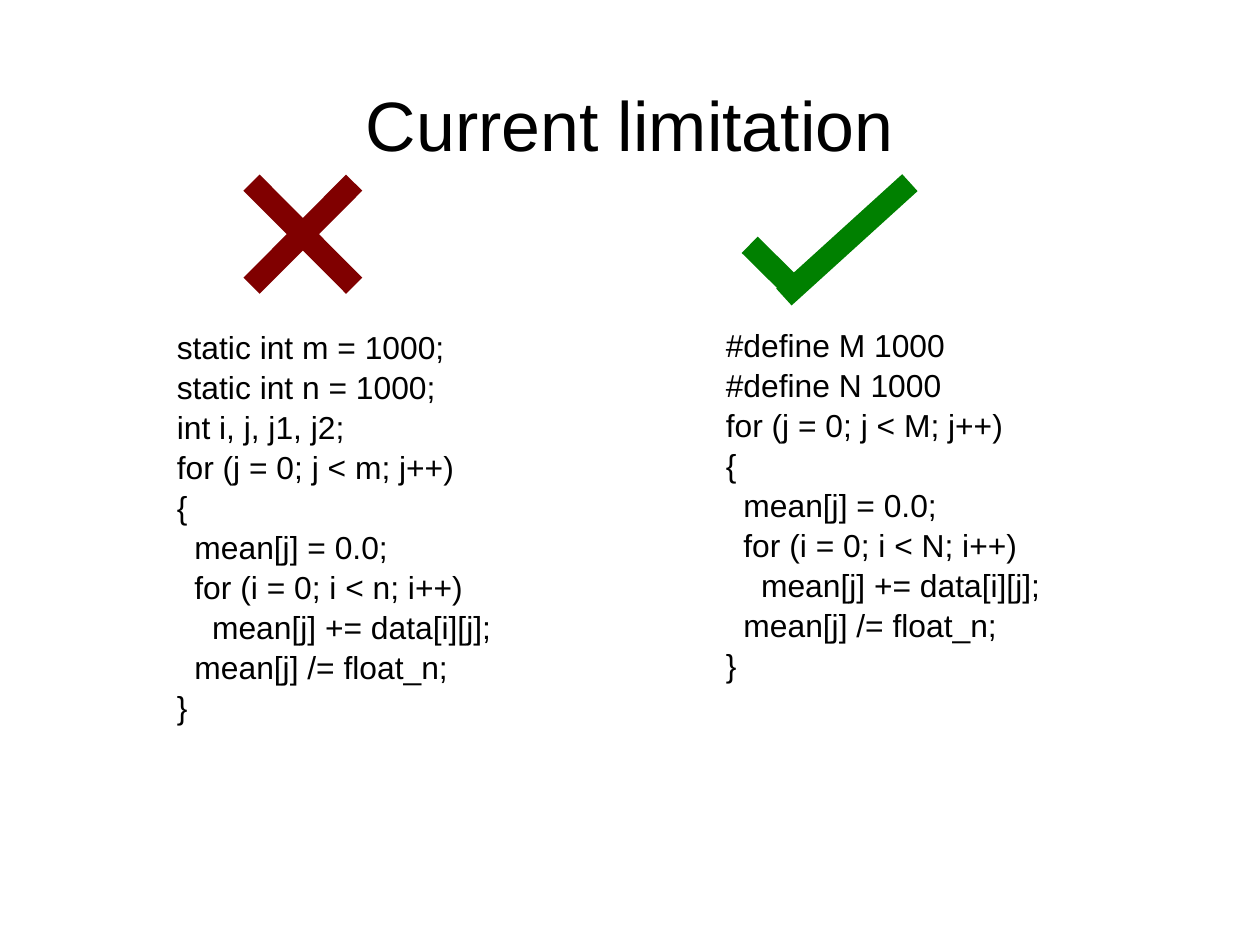
from dataclasses import dataclass
from lxml.etree import SubElement
from pptx import Presentation
from pptx.dml.color import RGBColor
from pptx.enum.text import MSO_ANCHOR, PP_ALIGN
from pptx.oxml.ns import qn
from pptx.util import Cm, Pt


@dataclass(frozen=True)
class Theme:
    font: str = "Arial"
    ink: RGBColor = RGBColor(0, 0, 0)
    bad: RGBColor = RGBColor(0x80, 0, 0)
    good: RGBColor = RGBColor(0, 0x80, 0)
    head: Pt = Pt(44)
    code: Pt = Pt(20)
    line: Pt = Pt(14.4)
    lead: float = 1.05


THEME = Theme()

LEFT = """static int m = 1000;
static int n = 1000;
int i, j, j1, j2;
for (j = 0; j < m; j++)
{
  mean[j] = 0.0;
  for (i = 0; i < n; i++)
    mean[j] += data[i][j];
  mean[j] /= float_n;
}"""

RIGHT = """#define M 1000
#define N 1000
for (j = 0; j < M; j++)
{
  mean[j] = 0.0;
  for (i = 0; i < N; i++)
    mean[j] += data[i][j];
  mean[j] /= float_n;
}"""


def add_text(slide, text, box, size):
    frame = slide.shapes.add_textbox(*map(Cm, box)).text_frame
    frame.word_wrap = True
    frame.text = text
    for para in frame.paragraphs:
        para.line_spacing = THEME.lead
        for run in para.runs:
            run.font.name = THEME.font
            run.font.size = size
            run.font.color.rgb = THEME.ink
    return frame


def add_title(slide, text, box):
    frame = add_text(slide, text, box, THEME.head)
    frame.vertical_anchor = MSO_ANCHOR.MIDDLE
    frame.paragraphs[0].alignment = PP_ALIGN.CENTER


def add_mark(slide, strokes, color):
    for stroke in strokes:
        line = slide.shapes.add_connector(1, *map(Cm, stroke))
        line.line.color.rgb = color
        line.line.width = THEME.line
        SubElement(line._element.spPr, qn("a:effectLst"))


def main():
    deck = Presentation()
    deck.slide_width, deck.slide_height = Cm(28), Cm(21)
    slide = deck.slides.add_slide(deck.slide_layouts[6])
    add_title(slide, "Current limitation", (1.4, 0.95, 25.2, 3.5))
    add_text(slide, LEFT, (3.68, 7.11, 8.5, 12.7), THEME.code)
    add_text(slide, RIGHT, (15.88, 7.08, 8.5, 12.6), THEME.code)
    cross = [(7.87, 4.06, 5.59, 6.35), (5.59, 4.06, 7.87, 6.35)]
    tick = [(16.66, 5.44, 17.68, 6.45), (20.22, 4.06, 17.42, 6.6)]
    add_mark(slide, cross, THEME.bad)
    add_mark(slide, tick, THEME.good)
    deck.save("out.pptx")


if __name__ == "__main__":
    main()
